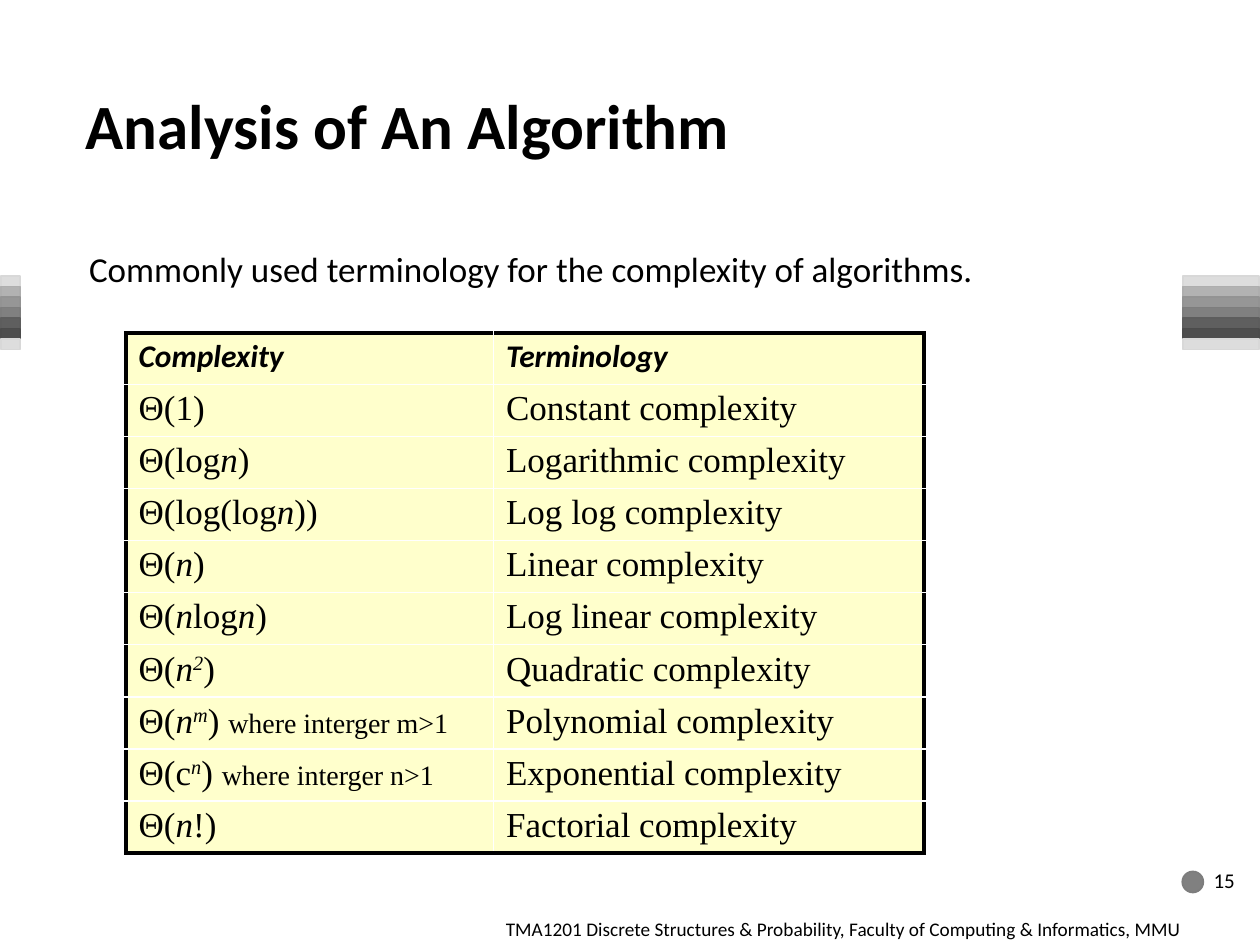
from dataclasses import dataclass

from lxml.etree import SubElement
from pptx import Presentation
from pptx.dml.color import RGBColor
from pptx.enum.shapes import MSO_SHAPE
from pptx.enum.text import MSO_ANCHOR
from pptx.oxml.ns import qn
from pptx.util import Inches, Pt

COLUMNS, ROWS = 120, 90  # square grid, twelve units to the inch


def grid(units):
    return Inches(units / 12)


@dataclass(frozen=True)
class Theme:
    sans: str = "Calibri"
    serif: str = "Times New Roman"
    ink: str = "000000"
    paper: str = "FFFFFF"
    cell: str = "FFFFCC"
    dot: str = "808080"
    bands: tuple = ("DDDDDD", "B2B2B2", "969696", "808080", "5F5F5F", "4D4D4D", "DDDDDD")
    title: int = 36
    body: int = 20
    heading: int = 18
    remark: int = 16
    number: int = 12
    footer: int = 11
    frame: float = 2.25
    rule: float = 1


@dataclass(frozen=True)
class Box:
    """A place on the slide, in grid units."""
    left: float
    top: float
    width: float
    height: float

    def lengths(self):
        return [grid(units) for units in (self.left, self.top, self.width, self.height)]


THEME = Theme()
ITALIC = {"italic": True}
RAISED = {"italic": True, "raised": True}
REMARK = {"size": THEME.remark}
N = ("n", ITALIC)

HEADINGS = ("Complexity", "Terminology")
# A complexity is a sequence of plain strings and (text, format) pairs.
COMPLEXITIES = [
    (["Θ(1)"], "Constant complexity"),
    (["Θ(log", N, ")"], "Logarithmic complexity"),
    (["Θ(log(log", N, "))"], "Log log complexity"),
    (["Θ(", N, ")"], "Linear complexity"),
    (["Θ(", N, "log", N, ")"], "Log linear complexity"),
    (["Θ(", N, ("2", RAISED), ")"], "Quadratic complexity"),
    (["Θ(", N, ("m", RAISED), ") ", ("where interger m>1", REMARK)], "Polynomial complexity"),
    (["Θ(c", ("n", RAISED), ") ", ("where interger n>1", REMARK)], "Exponential complexity"),
    (["Θ(", N, "!)"], "Factorial complexity"),
]


def add_span(para, text, size, font=THEME.sans, bold=False, italic=False, raised=False):
    span = para.add_run()
    span.text = text
    span.font.name = font
    span.font.size = Pt(size)
    span.font.bold = bold
    span.font.italic = italic
    span.font.color.rgb = RGBColor.from_string(THEME.ink)
    if raised:
        span._r.get_or_add_rPr().set("baseline", "30000")


def add_text(page, box, text, anchor=MSO_ANCHOR.TOP, fill=None, **style):
    shape = page.shapes.add_textbox(*box.lengths())
    if fill:
        shape.fill.solid()
        shape.fill.fore_color.rgb = RGBColor.from_string(fill)
    frame = shape.text_frame
    frame.word_wrap = True
    frame.vertical_anchor = anchor
    add_span(frame.paragraphs[0], text, **style)


def add_solid(shapes, kind, box, color):
    """Add a filled shape whose outline is slightly darker than its fill."""
    shape = shapes.add_shape(kind, *box.lengths())
    shape.shadow.inherit = False
    fill = RGBColor.from_string(color)
    shape.fill.solid()
    shape.fill.fore_color.rgb = fill
    shape.line.color.rgb = RGBColor(*(int(channel * 0.98) for channel in fill))
    shape.line.width = Pt(THEME.rule)


def add_bands(page, box):
    group = page.shapes.add_group_shape()
    height = box.height / len(THEME.bands)
    for index, color in enumerate(THEME.bands):
        band = Box(box.left, box.top + index * height, box.width, height)
        add_solid(group.shapes, MSO_SHAPE.RECTANGLE, band, color)


def add_border(properties, side, framed):
    width, color = (THEME.frame, THEME.ink) if framed else (THEME.rule, THEME.paper)
    line = SubElement(properties, qn(f"a:ln{side}"), w=str(Pt(width)))
    fill = SubElement(line, qn("a:solidFill"))
    SubElement(fill, qn("a:srgbClr"), val=color)


def fill_cell(cell, spans, framed, **style):
    properties = cell._tc.get_or_add_tcPr()
    for side in "LRTB":
        add_border(properties, side, side in framed)
    cell.fill.solid()
    cell.fill.fore_color.rgb = RGBColor.from_string(THEME.cell)
    cell.margin_top = cell.margin_bottom = Inches(0.04)
    para = cell.text_frame.paragraphs[0]
    for item in spans:
        text, changes = (item, {}) if isinstance(item, str) else item
        add_span(para, text, **{**style, **changes})


def add_complexity_table(page, box, widths):
    count = len(COMPLEXITIES) + 1
    table = page.shapes.add_table(count, len(widths), *box.lengths()).table
    table.first_row = table.horz_banding = False
    for column, width in zip(table.columns, widths):
        column.width = grid(width)
    for row in table.rows:
        row.height = grid(box.height / count)

    heading = {"size": THEME.heading, "bold": True, "italic": True}
    entry = {"size": THEME.body, "font": THEME.serif}
    lines = [([HEADINGS[0]], HEADINGS[1]), *COMPLEXITIES]
    for index, (complexity, term) in enumerate(lines):
        ends = ("T" if index == 0 else "") + ("B" if index == count - 1 else "")
        style = heading if index == 0 else entry
        fill_cell(table.cell(index, 0), complexity, "L" + ends, **style)
        fill_cell(table.cell(index, 1), [term], "R" + ends, **style)


def add_footer(page, box):
    """Place the course line, with the dot and page number above its right end."""
    add_solid(page.shapes, MSO_SHAPE.OVAL,
              Box(box.left + 65.6, box.top - 3.8, 2, 2), THEME.dot)
    add_text(page, box,
             "TMA1201 Discrete Structures & Probability, Faculty of Computing & Informatics, MMU",
             fill=THEME.paper, size=THEME.footer)
    add_text(page, Box(box.left + 67.4, box.top - 6, 5.6, 6), "15",
             anchor=MSO_ANCHOR.MIDDLE, size=THEME.number)


def main():
    deck = Presentation()
    deck.slide_width, deck.slide_height = grid(COLUMNS), grid(ROWS)
    page = deck.slides.add_slide(deck.slide_layouts[6])

    add_bands(page, Box(0.1, 26.3, 1.8, 7))
    add_bands(page, Box(112.7, 26.3, 7.2, 7))
    add_footer(page, Box(47, 86.8, 73, 3.2))
    add_text(page, Box(7.3, 23, 98, 22),
             "Commonly used terminology for the complexity of algorithms.", size=THEME.body)
    add_text(page, Box(7, 1, 101, 15), "Analysis of An Algorithm",
             anchor=MSO_ANCHOR.BOTTOM, size=THEME.title, bold=True)
    add_complexity_table(page, Box(12, 31.7, 76, 49), widths=(35, 41))

    deck.save("out.pptx")


if __name__ == "__main__":
    main()
